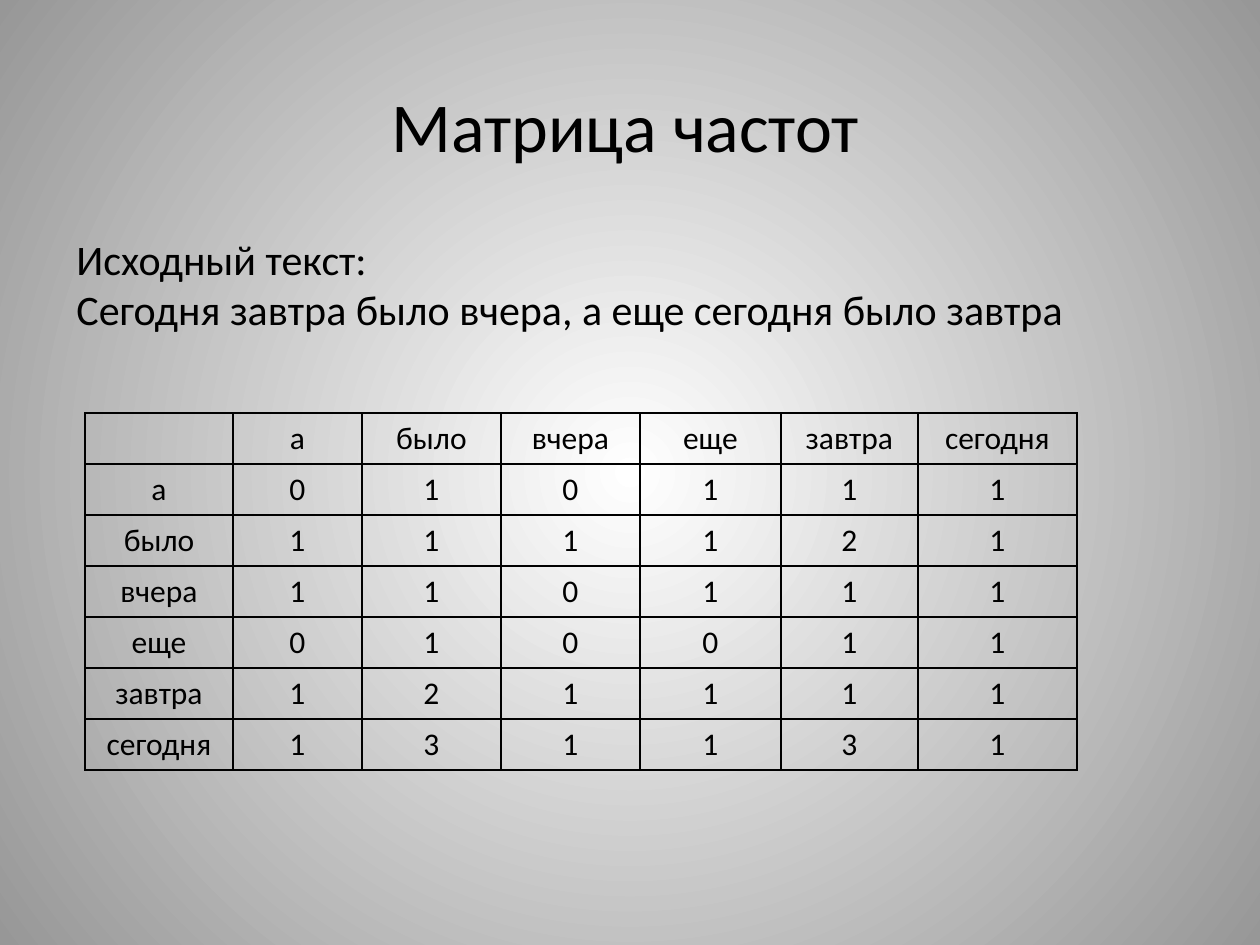
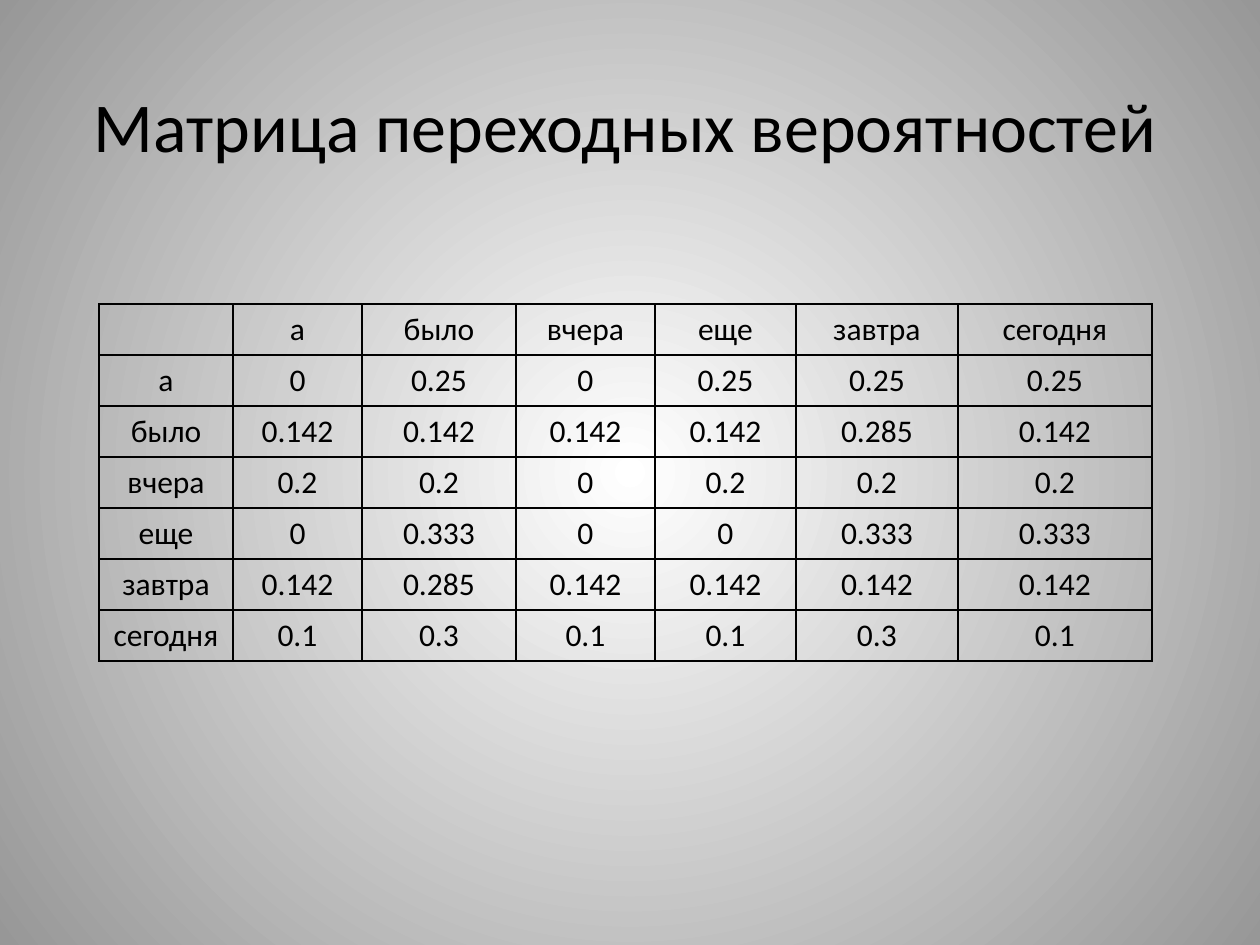
from lxml import etree
from pptx import Presentation
from pptx import util as u
from pptx.dml import color
from pptx.enum import text
from pptx.oxml import ns

SCALE = u.Inches(1) / 126
FONT = "Calibri"
COLORS = {"ink": "000000", "center": "FFFFFF", "edge": "979797"}
WORDS = ["а", "было", "вчера", "еще", "завтра", "сегодня"]
COUNTS = [
    [0, 1, 0, 1, 1, 1],
    [1, 1, 1, 1, 2, 1],
    [1, 1, 0, 1, 1, 1],
    [0, 1, 0, 0, 1, 1],
    [1, 2, 1, 1, 1, 1],
    [1, 3, 1, 1, 3, 1],
]
ROW_HEIGHT = 51
BORDER_SIDES = ("lnL", "lnR", "lnT", "lnB")


def px(length):
    return u.Emu(round(length * SCALE))


def rgb(name):
    return color.RGBColor.from_string(COLORS[name])


def style_paragraph(para, size, align):
    para.alignment = align
    para.font.size = u.Pt(size)
    for span in para.runs:
        span.font.size = u.Pt(size)
        span.font.name = FONT
        span.font.color.rgb = rgb("ink")


def add_text(slide, left, top, width, height, content, size, align):
    box = slide.shapes.add_textbox(px(left), px(top), px(width), px(height))
    frame = box.text_frame
    frame.word_wrap = True
    frame.auto_size = text.MSO_AUTO_SIZE.SHAPE_TO_FIT_TEXT
    frame.text = content
    for para in frame.paragraphs:
        style_paragraph(para, size, align)


def add_radial_background(slide):
    fill = slide.background.fill
    fill.gradient()
    for stop, name in zip(fill.gradient_stops, ("center", "edge")):
        stop.color.rgb = rgb(name)
    gradient = slide.element.find(".//" + ns.qn("a:gradFill"))
    linear = gradient.find(ns.qn("a:lin"))
    radial = etree.Element(ns.qn("a:path"), {"path": "circle"})
    half = {side: "50000" for side in "ltrb"}
    etree.SubElement(radial, ns.qn("a:fillToRect"), half)
    gradient.replace(linear, radial)


def add_slide(deck, title):
    slide = deck.slides.add_slide(deck.slide_layouts[6])
    add_radial_background(slide)
    add_text(slide, 64, 76, 1122, 97, title, 40, text.PP_ALIGN.CENTER)
    return slide


def outline_cell(cell):
    properties = cell._tc.get_or_add_tcPr()
    for index, side in enumerate(BORDER_SIDES):
        line = etree.Element(ns.qn(f"a:{side}"), {"w": str(u.Pt(1))})
        solid = etree.SubElement(line, ns.qn("a:solidFill"))
        etree.SubElement(solid, ns.qn("a:srgbClr"), {"val": COLORS["ink"]})
        properties.insert(index, line)


def add_matrix(slide, left, top, widths, values):
    rows = [["", *WORDS]] + [[word, *row] for word, row in zip(WORDS, values)]
    frame = slide.shapes.add_table(
        len(rows), len(widths), px(left), px(top),
        px(sum(widths)), px(ROW_HEIGHT * len(rows)))
    table = frame.table
    table.first_row = False
    table.horz_banding = False
    for column, width in zip(table.columns, widths):
        column.width = px(width)
    for table_row, row in zip(table.rows, rows):
        table_row.height = px(ROW_HEIGHT)
        for cell, value in zip(table_row.cells, row):
            cell.text_frame.text = f"{value}"
            style_paragraph(cell.text_frame.paragraphs[0], 18, text.PP_ALIGN.CENTER)
            cell.fill.background()
            outline_cell(cell)


def transition_row(counts):
    total = sum(counts)
    return [f"{count * 1000 // total / 1000:g}" for count in counts]


def main():
    deck = Presentation()
    deck.slide_width = px(1260)
    deck.slide_height = px(945)

    frequencies = add_slide(deck, "Матрица частот")
    add_text(frequencies, 64, 227, 1142, 115,
             "Исходный текст:\nСегодня завтра было вчера, а еще сегодня было завтра",
             24, text.PP_ALIGN.LEFT)
    add_matrix(frequencies, 85, 413, [148, 129, 139, 139, 141, 137, 159], COUNTS)

    transitions = add_slide(deck, "Матрица переходных вероятностей")
    add_matrix(transitions, 99, 304, [134, 129, 154, 139, 141, 162, 194],
               [transition_row(counts) for counts in COUNTS])

    deck.save("out.pptx")


if __name__ == "__main__":
    main()
